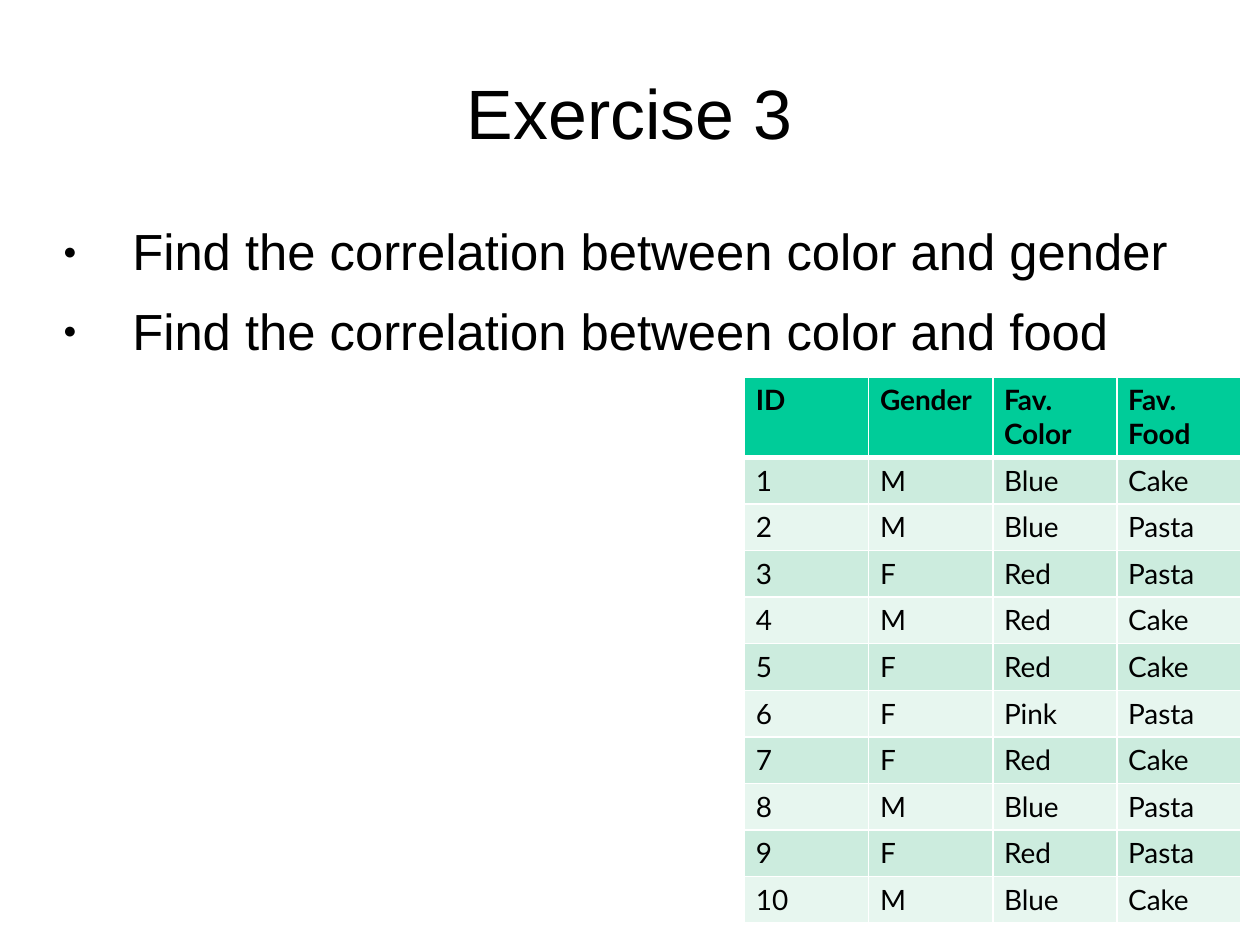
from lxml import etree
from pptx import Presentation
from pptx.dml.color import RGBColor
from pptx.enum import text
from pptx.oxml import ns
from pptx.util import Inches, Pt

COLORS = {
    "ink": "000000",
    "line": "FFFFFF",
    "header": "00CC99",
    "odd": "CCECDE",
    "even": "E7F6EF",
}
TASKS = [
    "Find the correlation between color and gender",
    "Find the correlation between color and food",
]
HEADINGS = ["ID", "Gender", "Fav. Color", "Fav. Food"]
ANSWERS = [
    ("M", "Blue", "Cake"),
    ("M", "Blue", "Pasta"),
    ("F", "Red", "Pasta"),
    ("M", "Red", "Cake"),
    ("F", "Red", "Cake"),
    ("F", "Pink", "Pasta"),
    ("F", "Red", "Cake"),
    ("M", "Blue", "Pasta"),
    ("F", "Red", "Pasta"),
    ("M", "Blue", "Cake"),
]


def add_child(parent, tag, **attributes):
    return etree.SubElement(parent, ns.qn(tag), attributes)


def write(para, words, size, font, bold=False, align=None, spacing=None, before=None):
    span = para.add_run()
    span.text = words
    span.font.size = Pt(size)
    span.font.name = font
    span.font.bold = bold
    span.font.color.rgb = RGBColor.from_string(COLORS["ink"])
    if align is not None:
        para.alignment = align
    if spacing is not None:
        para.line_spacing = spacing
    if before is not None:
        para.space_before = Pt(before)


def add_bullet(para, indent, percent):
    """Hang the paragraph behind a round bullet; call after its spacing is set."""
    properties = para._p.get_or_add_pPr()
    properties.set("marL", str(Inches(indent)))
    properties.set("indent", str(-Inches(indent)))
    color = add_child(properties, "a:buClr")
    add_child(color, "a:srgbClr", val=COLORS["ink"])
    add_child(properties, "a:buSzPct", val=str(percent * 1000))
    add_child(properties, "a:buFont", typeface="Arial")
    add_child(properties, "a:buChar", char="●")


def add_borders(cell, bottom):
    """Rule all four sides of a cell; call before its fill is set."""
    properties = cell._tc.get_or_add_tcPr()
    for side, width in {"L": 1, "R": 1, "T": 1, "B": bottom}.items():
        line = add_child(properties, f"a:ln{side}", w=str(Pt(width)))
        fill = add_child(line, "a:solidFill")
        add_child(fill, "a:srgbClr", val=COLORS["line"])


class ExercisePage:
    text_font = "Arial"
    table_font = "Lato"

    def __init__(self, deck):
        self.page = deck.slides.add_slide(deck.slide_layouts[1])

    def place(self, box, left, top, width, height, inset_top, anchor):
        box.left, box.top = Inches(left), Inches(top)
        box.width, box.height = Inches(width), Inches(height)
        frame = box.text_frame
        frame.margin_left = frame.margin_right = frame.margin_bottom = 0
        frame.margin_top = Inches(inset_top)
        frame.vertical_anchor = anchor
        frame.auto_size = text.MSO_AUTO_SIZE.NONE
        frame.word_wrap = True
        return frame

    def title(self, words):
        frame = self.place(self.page.shapes.title, 0.5, 0.3, 9, 1.25, 0,
                           text.MSO_ANCHOR.MIDDLE)
        write(frame.paragraphs[0], words, 39.9, self.text_font,
              align=text.PP_ALIGN.CENTER, spacing=0.93)

    def bullets(self, items):
        frame = self.place(self.page.placeholders[1], 0.5, 1.76, 9, 4.35, 0.03,
                           text.MSO_ANCHOR.TOP)
        for index, item in enumerate(items):
            para = frame.add_paragraph() if index else frame.paragraphs[0]
            write(para, item, 29, self.text_font, spacing=0.93, before=12.9)
            add_bullet(para, 0.55, 45)

    def table(self, rows, left, top, column_width, header_height, row_height):
        columns = len(rows[0])
        height = header_height + row_height * (len(rows) - 1)
        grid = self.page.shapes.add_table(
            len(rows), columns, Inches(left), Inches(top),
            Inches(column_width * columns), Inches(height)).table
        for column in grid.columns:
            column.width = Inches(column_width)
        for index, values in enumerate(rows):
            is_header = index == 0
            grid.rows[index].height = Inches(header_height if is_header else row_height)
            shade = "header" if is_header else "odd" if index % 2 else "even"
            for cell, value in zip(grid.rows[index].cells, values):
                cell.margin_left = cell.margin_right = Inches(0.09)
                cell.margin_top = cell.margin_bottom = Inches(0.05)
                add_borders(cell, bottom=3 if is_header else 1)
                cell.fill.solid()
                cell.fill.fore_color.rgb = RGBColor.from_string(COLORS[shade])
                write(cell.text_frame.paragraphs[0], value, 16, self.table_font,
                      bold=is_header)


def main():
    deck = Presentation()
    deck.slide_width, deck.slide_height = Inches(10), Inches(7.5)
    exercise = ExercisePage(deck)
    exercise.title("Exercise 3")
    exercise.bullets(TASKS)
    people = [(str(number), *answer) for number, answer in enumerate(ANSWERS, 1)]
    exercise.table([HEADINGS, *people], left=5.91, top=2.99, column_width=0.985,
                   header_height=0.64, row_height=0.37)
    deck.save("out.pptx")


if __name__ == "__main__":
    main()
